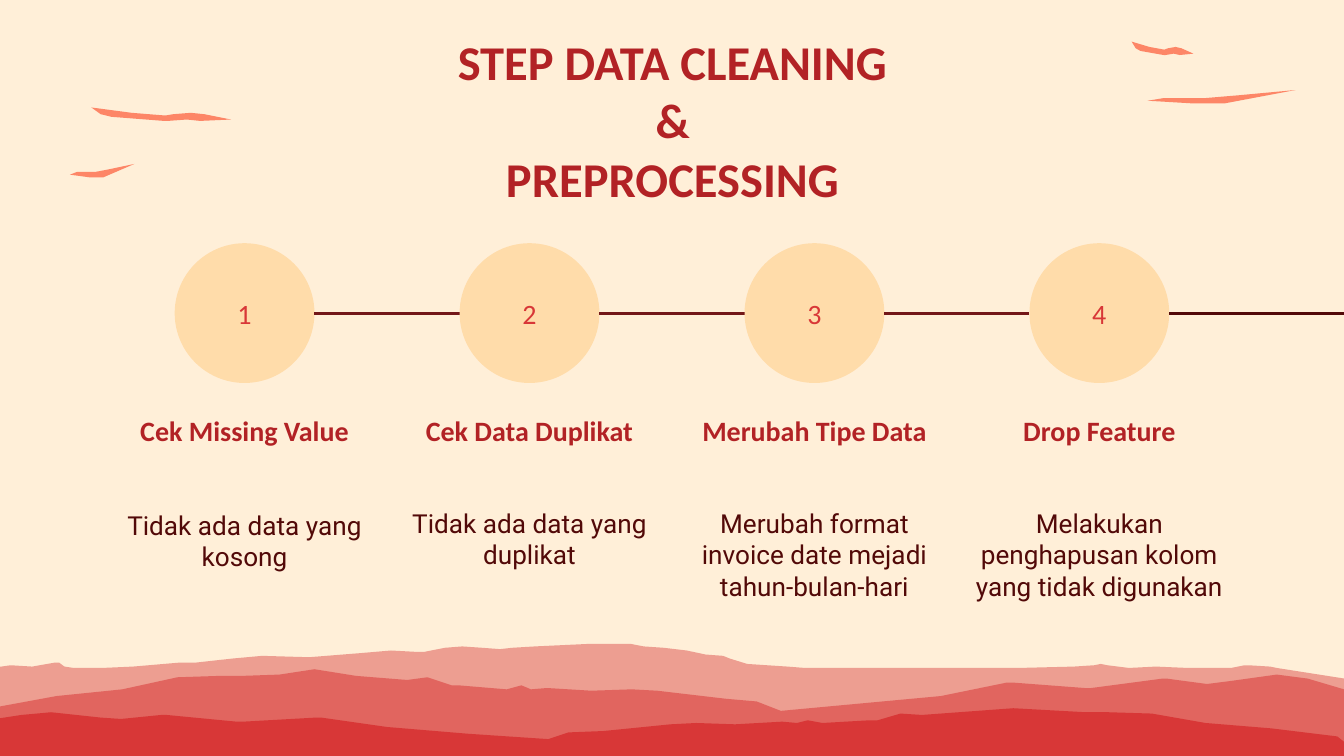
from lxml.etree import SubElement
from pptx import Presentation
from pptx.dml.color import RGBColor
from pptx.enum.shapes import MSO_CONNECTOR as Connector, MSO_SHAPE as Shape
from pptx.enum.text import MSO_ANCHOR as Anchor, MSO_AUTO_SIZE as AutoSize, PP_ALIGN as Align
from pptx.oxml.ns import qn
from pptx.util import Emu, Pt

SCALE = 4572  # EMU per px, 200 px to the inch
GRID = 2  # px per unit of the outlines
WIDTH, HEIGHT = 2000, 1125

CREAM = RGBColor(0xFF, 0xEF, 0xD8)
PEACH = RGBColor(0xFF, 0xDC, 0xAA)
CORAL = RGBColor(0xFD, 0x86, 0x67)
RED = RGBColor(0xD8, 0x37, 0x37)
CRIMSON = RGBColor(0xB2, 0x22, 0x25)
WINE = RGBColor(0x73, 0x17, 0x18)
MAROON = RGBColor(0x52, 0x09, 0x08)

TITLE_FONT = {"name": "Calibri", "size": Pt(26), "bold": True}
NUMBER_FONT = {"name": "Calibri", "size": Pt(15), "bold": False}
HEADING_FONT = {"name": "Calibri", "size": Pt(15), "bold": True}
BODY_FONT = {"name": "Roboto", "size": Pt(14), "bold": False}

TITLE = "STEP DATA CLEANING\v&\vPREPROCESSING"
# Heading, description, top of the description
STEPS = [
    ("Cek Missing Value", "Tidak ada data yang kosong", 738),
    ("Cek Data Duplikat", "Tidak ada data yang duplikat", 735),
    ("Merubah Tipe Data", "Merubah format invoice date mejadi tahun-bulan-hari", 735),
    ("Drop Feature", "Melakukan penghapusan kolom yang tidak digunakan", 735),
]
FIRST_LEFT, PITCH = 260, 424
CIRCLE_TOP, CIRCLE = 362, 208
TEXT_WIDTH = 414

BACK_HILL = [
    (-13, 578), (-13, 497), (1, 496), (8, 495), (24, 496), (41, 493), (44, 493), (48, 496),
    (55, 497), (76, 497), (99, 496), (134, 493), (146, 493), (173, 490), (195, 488),
    (230, 489), (268, 486), (291, 484), (309, 485), (316, 485), (331, 482), (344, 481),
    (359, 482), (372, 483), (381, 482), (398, 481), (440, 479), (457, 479), (469, 479),
    (479, 481), (494, 482), (511, 484), (525, 487), (538, 488), (543, 490), (556, 494),
    (586, 496), (599, 497), (758, 497), (799, 496), (814, 495), (819, 494), (824, 495),
    (840, 497), (860, 496), (884, 497), (916, 497), (926, 495), (929, 495), (945, 496),
    (950, 497), (1001, 505), (1001, 578),
]
MIDDLE_HILL = [
    (-28, 611), (-31, 580), (-25, 546), (-7, 527), (42, 518), (91, 513), (132, 504),
    (163, 503), (180, 503), (208, 502), (234, 498), (265, 503), (303, 506), (318, 504),
    (336, 510), (341, 510), (377, 513), (388, 510), (395, 513), (407, 512), (440, 514),
    (470, 513), (489, 514), (540, 520), (563, 522), (581, 529), (700, 518), (749, 508),
    (754, 508), (807, 512), (812, 512), (865, 505), (868, 505), (898, 509), (914, 507),
    (950, 502), (973, 505), (1000, 513), (1018, 525), (1020, 611),
]
FRONT_HILL = [
    (-31, 611), (-30, 547), (-10, 536), (16, 532), (38, 530), (75, 534), (90, 535),
    (120, 532), (124, 532), (176, 537), (181, 537), (235, 534), (239, 534), (288, 541),
    (348, 546), (408, 550), (423, 545), (449, 544), (499, 539), (518, 538), (547, 539),
    (582, 537), (593, 538), (601, 536), (612, 538), (647, 536), (653, 536), (670, 531),
    (686, 532), (754, 527), (808, 530), (825, 530), (857, 531), (897, 538), (946, 542),
    (995, 548), (1014, 563), (1020, 611),
]
WAVY_CLOUD = [
    (0, 0), (7, 5), (15, 7), (54, 10), (57, 10), (71, 9), (81, 10), (104, 9),
    (84, 5), (74, 4), (61, 5), (55, 6), (30, 4),
]
TAPERED_CLOUD = [(110, 0), (67, 4), (43, 6), (12, 6), (0, 8), (34, 10), (57, 10)]


def px(*lengths):
    return [Emu(length * SCALE) for length in lengths]


def paint(shape, color):
    shape.shadow.inherit = False
    shape.fill.solid()
    shape.fill.fore_color.rgb = color
    shape.line.fill.background()


def write(frame, text, font, color, side=0, edge=0, anchor=Anchor.TOP):
    """Fill a text frame with one centred, formatted paragraph."""
    side, edge = px(side, edge)
    layout = {
        "word_wrap": True, "auto_size": AutoSize.NONE, "vertical_anchor": anchor,
        "margin_left": side, "margin_right": side,
        "margin_top": edge, "margin_bottom": edge,
    }
    for name, value in layout.items():
        setattr(frame, name, value)
    para = frame.paragraphs[0]
    para.text = text
    para.alignment = Align.CENTER
    for span in para.runs:
        for name, value in font.items():
            setattr(span.font, name, value)
        span.font.color.rgb = color


def add_outline(page, points, color, left=0, top=0, stretch=1, opacity=100):
    """Draw a closed outline, stretched sideways, from the given corner."""
    unit = SCALE * GRID
    builder = page.shapes.build_freeform(*points[0], scale=(unit * stretch, unit))
    builder.add_line_segments(points[1:], close=True)
    outline = builder.convert_to_shape(*px(left, top))
    paint(outline, color)
    if opacity < 100:
        tint = outline.fill._xPr.find(qn("a:solidFill"))[0]
        SubElement(tint, qn("a:alpha"), val=str(opacity * 1000))


def add_cloud(page, points, left, top, width):
    span = GRID * max(x for x, _ in points)
    add_outline(page, points, CORAL, left, top, width / span)


def add_text(page, left, top, height, text, font, color):
    box = page.shapes.add_textbox(*px(left, top, TEXT_WIDTH, height))
    write(box.text_frame, text, font, color, side=20, edge=20)


def add_link(page, start, end, color):
    middle = CIRCLE_TOP + CIRCLE // 2
    link = page.shapes.add_connector(Connector.STRAIGHT, *px(start, middle, end, middle))
    link.line.color.rgb = color
    link.line.width = Pt(1.5)
    SubElement(link._element.spPr, qn("a:effectLst"))


def add_step(page, number, heading, description, description_top):
    left = FIRST_LEFT + (number - 1) * PITCH
    circle = page.shapes.add_shape(Shape.OVAL, *px(left, CIRCLE_TOP, CIRCLE, CIRCLE))
    paint(circle, PEACH)
    write(circle.text_frame, str(number), NUMBER_FONT, RED, anchor=Anchor.MIDDLE)
    text_left = left + (CIRCLE - TEXT_WIDTH) // 2
    add_text(page, text_left, 596, 80, heading, HEADING_FONT, CRIMSON)
    add_text(page, text_left, description_top, 134, description, BODY_FONT, MAROON)
    last = number == len(STEPS)
    add_link(page, left + CIRCLE, 2008 if last else left + PITCH, MAROON if last else WINE)


def add_title(page):
    title = page.shapes.title
    title.left, title.top, title.width, title.height = px(158, 48, 1686, 92)
    write(title.text_frame, TITLE, TITLE_FONT, CRIMSON, side=20)


def main():
    deck = Presentation()
    deck.slide_width, deck.slide_height = px(WIDTH, HEIGHT)
    page = deck.slides.add_slide(deck.slide_layouts[5])
    page.background.fill.solid()
    page.background.fill.fore_color.rgb = CREAM
    for hill, opacity in ((BACK_HILL, 44), (MIDDLE_HILL, 55), (FRONT_HILL, 100)):
        add_outline(page, hill, RED, opacity=opacity)
    add_cloud(page, WAVY_CLOUD, 1684, 62, 92)
    add_cloud(page, WAVY_CLOUD, 136, 160, 208)
    add_cloud(page, TAPERED_CLOUD, 104, 244, 96)
    add_cloud(page, TAPERED_CLOUD, 1708, 134, 220)
    add_title(page)
    for number, step in enumerate(STEPS, start=1):
        add_step(page, number, *step)
    deck.save("out.pptx")


if __name__ == "__main__":
    main()
